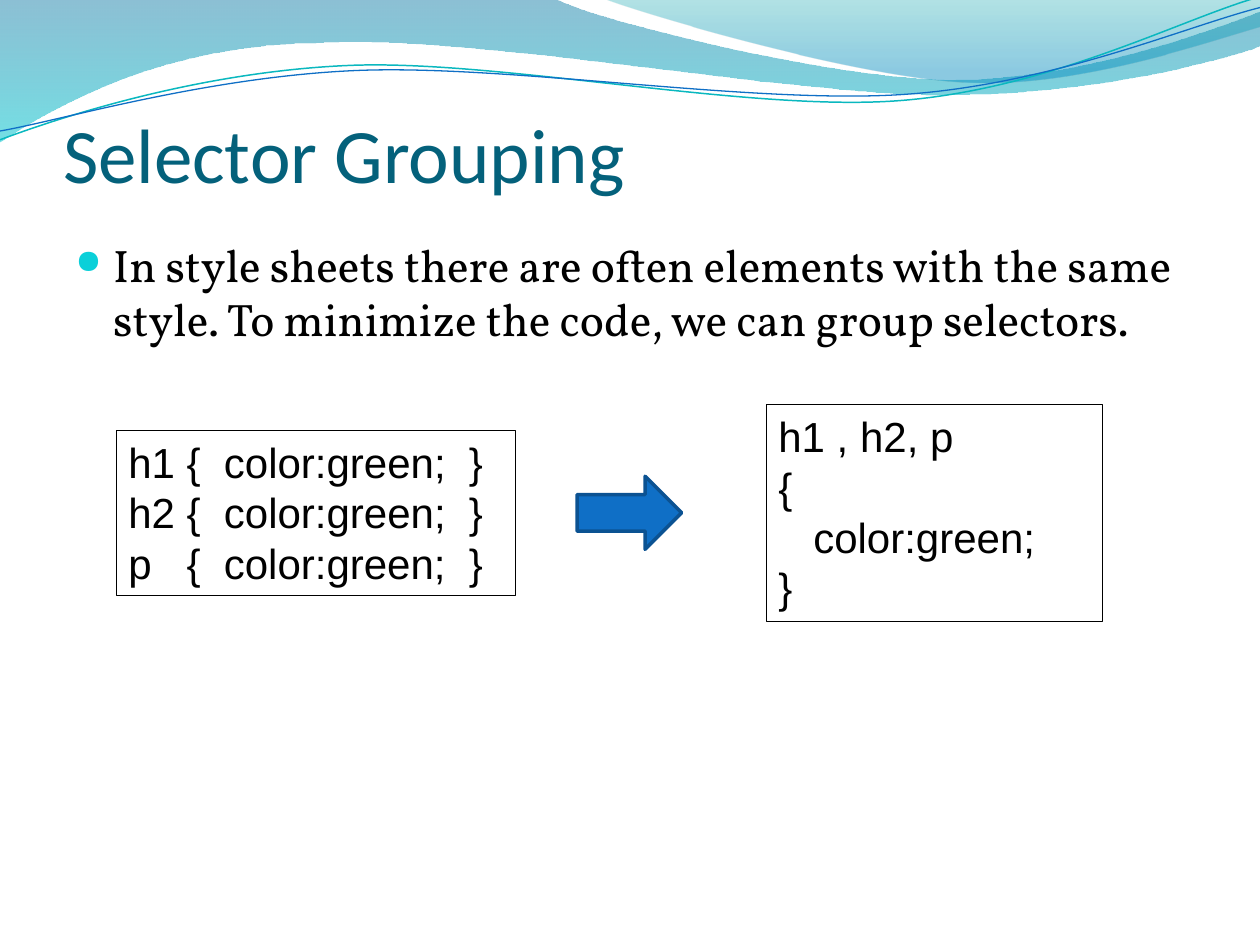
from lxml import etree
from pptx import Presentation
from pptx.dml.color import RGBColor
from pptx.enum.shapes import MSO_SHAPE as Shape
from pptx.enum.text import MSO_ANCHOR as Anchor, MSO_AUTO_SIZE as AutoSize, PP_ALIGN as Align
from pptx.oxml.ns import qn
from pptx.util import Inches, Pt

MIDDLE = 4.07
UNITS_PER_INCH = 100

BANDS = [
    ([[(0, -0.01)], [(4.4, -0.01)],
      [(4.76, 0.17), (6.64, 0.63), (7.58, 0.63)],
      [(8.53, 0.63), (9.58, 0.26), (10, 0.09)], [(10.01, 0.36)],
      [(9.83, 0.44), (8.7, 0.76), (7.46, 0.75)],
      [(6.22, 0.75), (3.82, 0.28), (2.57, 0.34)],
      [(1.29, 0.35), (0.46, 0.83), (-0.01, 1.13)]],
     [(0, "0074A1", 45), (1, "00C6CF", 55)]),
    ([[(4.79, -0.01)],
      [(5.09, 0.11), (6.82, 0.62), (7.69, 0.65)],
      [(8.56, 0.69), (9.61, 0.32), (10, 0.21)], [(10, 0)]],
     [(0, "00A1A9", 30), (0.8, "008BBF", 45)]),
]
STRANDS = [
    ([[(0, 1.11)], [(0.48, 0.93), (1.58, 0.57), (2.77, 0.52)],
      [(3.95, 0.47), (5.93, 0.89), (7.13, 0.8)],
      [(8.33, 0.71), (9.38, 0.15), (9.98, -0.02)]], "0AB8BF", 0.85),
    ([[(0, 1.04)], [(0.47, 0.96), (1.64, 0.61), (2.83, 0.56)],
      [(4.03, 0.51), (5.97, 0.83), (7.17, 0.75)],
      [(8.36, 0.67), (9.41, 0.21), (10, 0.06)]], "0F6FC6", 0.75),
]


def color(value):
    """Turn a hex string into a colour."""
    return RGBColor.from_string(value)


def style_font(paragraph, name, size, value):
    """Set the font of a whole paragraph."""
    font = paragraph.font
    font.name, font.size = name, Pt(size)
    font.color.rgb = color(value)


def set_line(shape, value, width):
    """Give a shape a solid outline without a shadow."""
    shape.shadow.inherit = False
    shape.line.color.rgb = color(value)
    shape.line.width = Pt(width)


def bend(shape, segments):
    """Join each run of three line steps into one cubic curve."""
    steps = iter(list(shape._element.iter(qn("a:lnTo"))))
    for segment in segments[1:]:
        group = [next(steps) for _ in segment]
        if len(group) == 3:
            curve = etree.Element(qn("a:cubicBezTo"))
            group[0].addprevious(curve)
            for step in group:
                curve.append(step[0])
                step.getparent().remove(step)


def add_outline(slide, segments, close):
    """Draw a curved outline as a freeform."""
    points = [(round(x * UNITS_PER_INCH), round(y * UNITS_PER_INCH))
              for segment in segments for x, y in segment]
    builder = slide.shapes.build_freeform(*points[0], scale=Inches(1) / UNITS_PER_INCH)
    builder.add_line_segments(points[1:], close=close)
    shape = builder.convert_to_shape()
    bend(shape, segments)
    shape.shadow.inherit = False
    return shape


def add_band(slide, segments, stops):
    """Draw a translucent band with a downward gradient."""
    band = add_outline(slide, segments, True)
    band.line.fill.background()
    band.fill.gradient()
    band.fill.gradient_angle = 270
    for stop, (position, value, _) in zip(band.fill.gradient_stops, stops):
        stop.position = position
        stop.color.rgb = color(value)
    tints = band._element.spPr.iter(qn("a:srgbClr"))
    for tint, (_, _, opacity) in zip(tints, stops):
        etree.SubElement(tint, qn("a:alpha"), val=str(opacity * 1000))


def add_strand(slide, segments, value, width):
    """Draw a thin curved line."""
    strand = add_outline(slide, segments, False)
    strand.fill.background()
    set_line(strand, value, width)


def set_title(slide, text):
    """Place and format the title."""
    title = slide.shapes.title
    title.left, title.top, title.width, title.height = map(Inches, (0.5, 0.77, 9, 0.81))
    frame = title.text_frame
    frame.text = text
    frame.auto_size = AutoSize.NONE
    frame.vertical_anchor = Anchor.BOTTOM
    frame.margin_left = frame.margin_right = frame.margin_bottom = 0
    paragraph = frame.paragraphs[0]
    paragraph.alignment = Align.LEFT
    style_font(paragraph, "Calibri", 44, "04617B")


def add_bullet(slide, text):
    """Add the bulleted body text."""
    frame = slide.shapes.add_textbox(*map(Inches, (0.5, 1.83, 9, 1.17))).text_frame
    frame.word_wrap = True
    paragraph = frame.paragraphs[0]
    paragraph.text = text
    paragraph.space_before = Pt(5.2)
    style_font(paragraph, "Vollkorn", 26, "000000")
    properties = paragraph._p.get_or_add_pPr()
    properties.set("marL", str(Inches(0.3)))
    properties.set("indent", str(-Inches(0.3)))
    bullet = etree.Element(qn("a:buClr"))
    etree.SubElement(bullet, qn("a:srgbClr"), val="0BD0D9")
    size = etree.Element(qn("a:buSzPct"), val="73000")
    mark = etree.Element(qn("a:buChar"), char="●")
    properties.find(qn("a:spcBef")).addnext(bullet)
    bullet.addnext(size)
    size.addnext(mark)


def add_centered(slide, kind, left, width, height):
    """Add a preset shape centred on the middle row."""
    return slide.shapes.add_shape(
        kind, *map(Inches, (left, MIDDLE - height / 2, width, height)))


def add_code_box(slide, left, width, height, text):
    """Add a framed block of code."""
    box = add_centered(slide, Shape.RECTANGLE, left, width, height)
    box.fill.background()
    set_line(box, "000000", 0.25)
    frame = box.text_frame
    frame.word_wrap = True
    frame.auto_size = AutoSize.SHAPE_TO_FIT_TEXT
    frame.vertical_anchor = Anchor.TOP
    frame.text = text
    for paragraph in frame.paragraphs:
        paragraph.alignment = Align.LEFT
        style_font(paragraph, "Arial", 24, "000000")


def add_arrow(slide):
    """Add the arrow between the code boxes."""
    arrow = add_centered(slide, Shape.RIGHT_ARROW, 4.58, 0.83, 0.58)
    arrow.fill.solid()
    arrow.fill.fore_color.rgb = color("0F6FC6")
    set_line(arrow, "0B5292", 2)


def main():
    """Build and save the slide."""
    presentation = Presentation()
    presentation.slide_width, presentation.slide_height = Inches(10), Inches(7.5)
    slide = presentation.slides.add_slide(presentation.slide_layouts[5])
    for band in BANDS:
        add_band(slide, *band)
    for strand in STRANDS:
        add_strand(slide, *strand)
    set_title(slide, "Selector Grouping")
    add_bullet(slide, "In style sheets there are often elements with the same style. "
                      "To minimize the code, we can group selectors.")
    rules = "\v".join(f"{selector}{{  color:green;  }}" for selector in ("h1 ", "h2 ", "p   "))
    add_code_box(slide, 0.92, 3.17, 1.31, rules)
    add_arrow(slide)
    add_code_box(slide, 6.08, 2.67, 1.72, "h1 , h2, p\n{\v   color:green;\v}")
    presentation.save("out.pptx")


if __name__ == "__main__":
    main()
